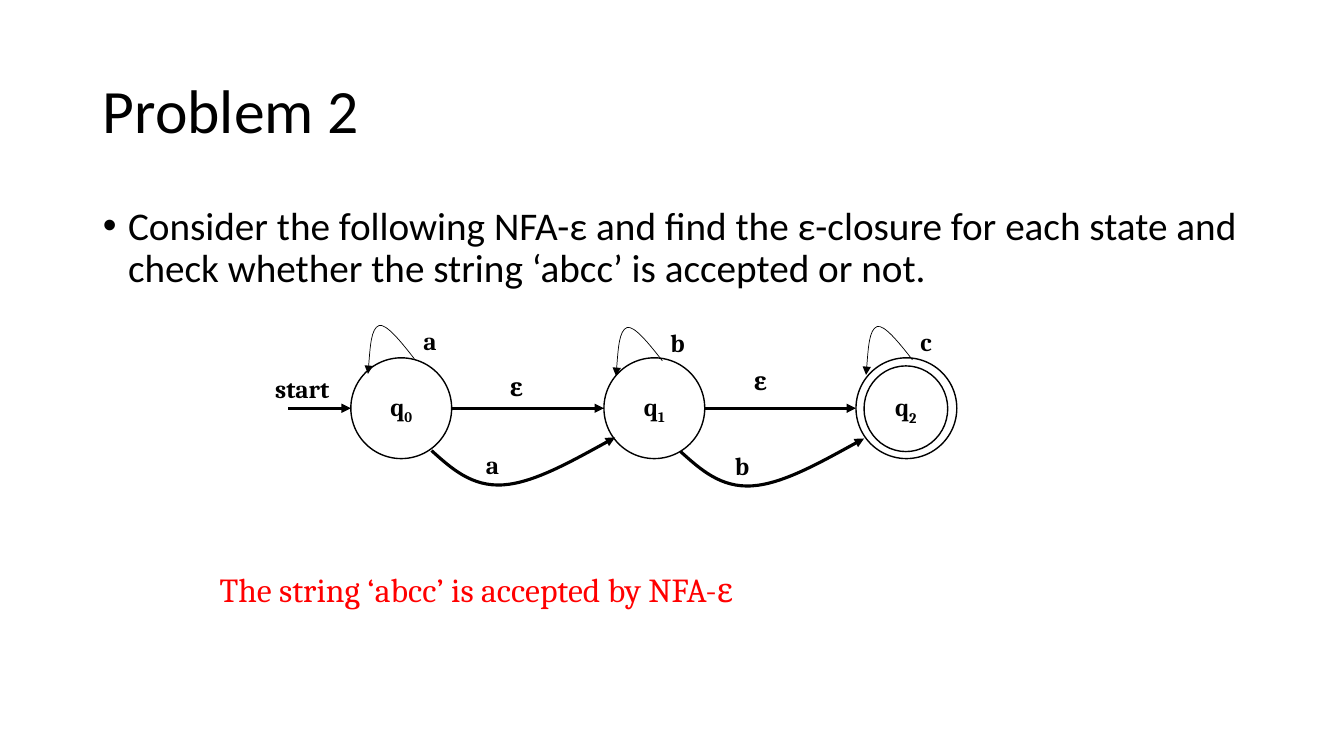
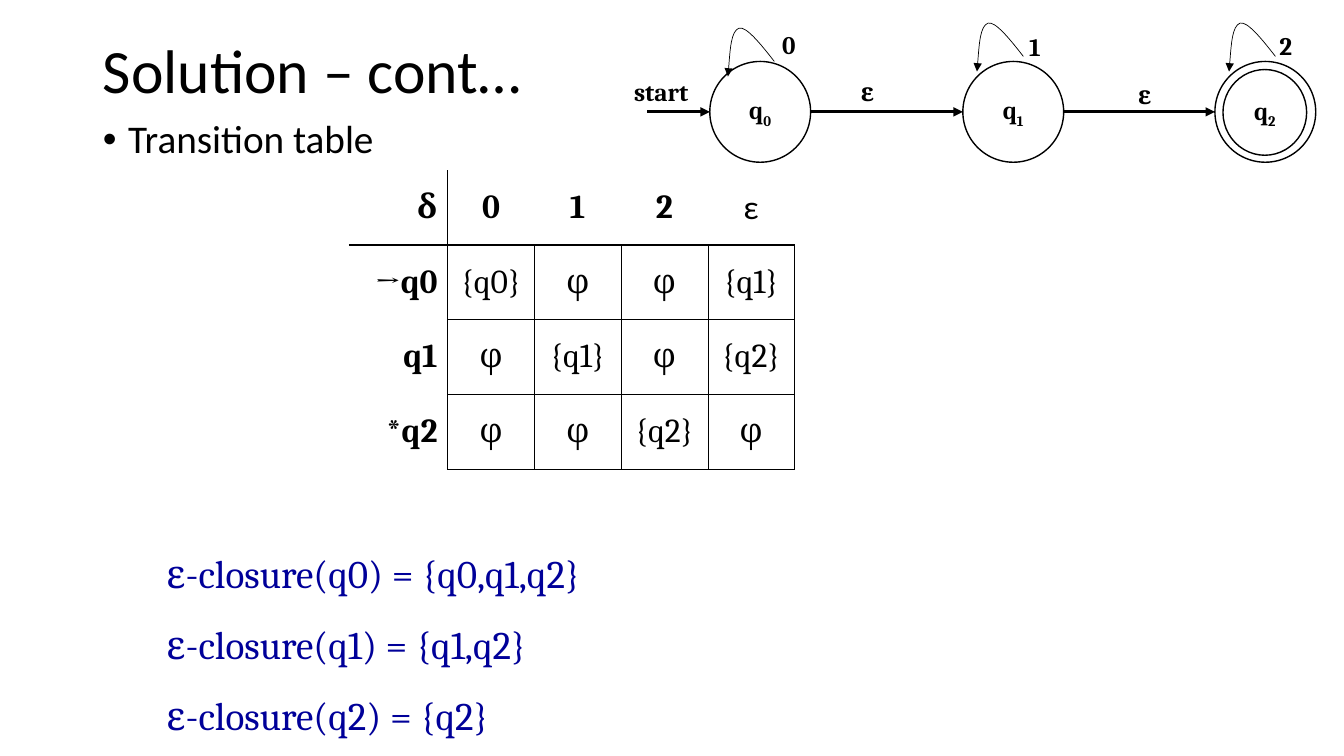
from lxml import etree
from pptx import Presentation
from pptx import util as u
from pptx.dml.color import RGBColor
from pptx.enum import shapes, text
from pptx.oxml.ns import qn

PX = 9144  # 100 px to the inch
BLACK, WHITE, RED, NAVY = "000000", "FFFFFF", "FF0000", "000099"
HEAD_FONT, TEXT_FONT = "Calibri", "Cambria"
LEFT, CENTER, RIGHT = text.PP_ALIGN.LEFT, text.PP_ALIGN.CENTER, text.PP_ALIGN.RIGHT

STATE_SIZE = 100
STATE_STEPS = (0, 251, 501)
LOOP = ((0, 0), (-14, -18), (-28, -35), (-35, -33), (-43, -30), (-44, -8), (-46, 15))
BOW = ((0, 0), (20, 18), (40, 36), (71, 34), (101, 32), (142, 9), (182, -13))


def px(*lengths):
    return [u.Emu(length * PX) for length in lengths]


def color(hex_code):
    return RGBColor.from_string(hex_code)


class Deck:
    """Holds the shared style and the slide being filled."""

    def __init__(self):
        self.prs = Presentation()
        self.prs.slide_width, self.prs.slide_height = px(1333, 750)
        self.slide = None

    def new_slide(self, title, title_top, bullet, body_box):
        self.slide = self.prs.slides.add_slide(self.prs.slide_layouts[1])
        heading, body = self.slide.placeholders
        self.fill_placeholder(heading, (92, title_top, 1150, 145), title, 44)
        heading.text_frame.vertical_anchor = text.MSO_ANCHOR.MIDDLE
        self.fill_placeholder(body, body_box, bullet, 28)
        item = body.text_frame.paragraphs[0]
        item.space_before = u.Pt(10)
        props = item._p.get_or_add_pPr()
        props.set("marL", str(25 * PX))
        props.set("indent", str(-25 * PX))

    def fill_placeholder(self, holder, box, words, size):
        holder.left, holder.top, holder.width, holder.height = px(*box)
        frame = holder.text_frame
        frame.text = words
        frame.auto_size = text.MSO_AUTO_SIZE.NONE
        self.format(frame, size, font=HEAD_FONT, spacing=0.9)

    def format(self, frame, size, ink=BLACK, font=TEXT_FONT, bold=False,
               align=LEFT, spacing=None):
        for paragraph in frame.paragraphs:
            paragraph.alignment = align
            if spacing:
                paragraph.line_spacing = spacing
            for run in paragraph.runs:
                run.font.name, run.font.size = font, u.Pt(size)
                run.font.bold = bold
                run.font.color.rgb = color(ink)

    def note(self, box, words, size=18, ink=BLACK, bold=False, spacing=None, wrap=True):
        frame = self.slide.shapes.add_textbox(*px(*box)).text_frame
        frame.text = words
        frame.word_wrap = wrap
        frame.auto_size = text.MSO_AUTO_SIZE.SHAPE_TO_FIT_TEXT
        self.format(frame, size, ink, bold=bold, spacing=spacing)

    def label(self, x, y, words, width=40):
        self.note((x, y, width, 40), words, bold=True)

    def circle(self, x, y, width=STATE_SIZE, height=STATE_SIZE, number=None):
        """Draws a state ring, with its subscripted name if numbered."""
        ring = self.slide.shapes.add_shape(shapes.MSO_SHAPE.OVAL, *px(x, y, width, height))
        ring.shadow.inherit = False
        ring.fill.solid()
        ring.fill.fore_color.rgb = color(WHITE)
        self.stroke(ring, 1)
        if number is None:
            return
        frame = ring.text_frame
        frame.text = "q"
        frame.vertical_anchor = text.MSO_ANCHOR.MIDDLE
        subscript = frame.paragraphs[0].add_run()
        subscript.text = str(number)
        self.format(frame, 18, bold=True, align=CENTER)
        subscript._r.get_or_add_rPr().set("baseline", "-25000")

    def stroke(self, shape, weight, arrow=False):
        shape.line.color.rgb = color(BLACK)
        shape.line.width = u.Pt(weight)
        if arrow:
            ln = shape._element.spPr.find(qn("a:ln"))
            etree.SubElement(ln, qn("a:tailEnd"), type="triangle")

    def arrow(self, x1, x2, y):
        line = self.slide.shapes.add_connector(
            shapes.MSO_CONNECTOR.STRAIGHT, *px(x1, y, x2, y))
        self.stroke(line, 2.25, arrow=True)
        etree.SubElement(line._element.spPr, qn("a:effectLst"))

    def curve(self, x, y, offsets, weight):
        """Draws an arrow of cubic curves; offsets are the start, then triples."""
        start, *rest = [(x + dx, y + dy) for dx, dy in offsets]
        builder = self.slide.shapes.build_freeform(*start, scale=float(PX))
        builder.add_line_segments(rest, close=False)
        arc = builder.convert_to_shape()
        arc.shadow.inherit = False
        arc.fill.background()
        self.stroke(arc, weight, arrow=True)
        outline = next(arc._element.iter(qn("a:path")))
        segments = outline.findall(qn("a:lnTo"))
        for first in range(0, len(segments), 3):
            bezier = etree.SubElement(outline, qn("a:cubicBezTo"))
            for segment in segments[first:first + 3]:
                bezier.append(segment[0])
                outline.remove(segment)

    def automaton(self, x, y, loops, epsilons):
        """Draws three states; loops hold symbol, curve start and label corner."""
        middle = y + STATE_SIZE // 2
        lefts = [x + step for step in STATE_STEPS]
        for number, left in enumerate(lefts[:-1]):
            self.circle(left, y, number=number)
        self.circle(lefts[-1], y)
        self.circle(lefts[-1] + 8, y + 8, 83, 85, number=2)
        self.arrow(x - 62, x, middle)
        for left, following in zip(lefts, lefts[1:]):
            self.arrow(left + STATE_SIZE, following, middle)
        self.label(x - 85, y + 10, "start", 92)
        for symbol, start, corner in loops:
            self.curve(*start, LOOP, 0.5)
            self.label(*corner, symbol)
        for corner in epsilons:
            self.label(*corner, "ε", 36)

    def transition_table(self, x, y, rows, widths, row_height):
        frame = self.slide.shapes.add_table(
            len(rows), len(widths), *px(x, y, sum(widths), row_height * len(rows)))
        table = frame.table
        table.first_row = table.horz_banding = False
        for column, width in zip(table.columns, px(*widths)):
            column.width = width
        for r, row in enumerate(rows):
            table.rows[r].height, = px(row_height)
            for c, words in enumerate(row):
                cell = table.cell(r, c)
                cell.text = words
                cell.vertical_anchor = text.MSO_ANCHOR.MIDDLE
                plain_head = words == "ε"
                self.format(cell.text_frame, 24,
                            font=HEAD_FONT if plain_head else TEXT_FONT,
                            bold=(r == 0 or c == 0) and not plain_head,
                            align=CENTER if c else RIGHT)
                self.borders(cell, L=rule_weight(c, r), R=rule_weight(c + 1, r),
                             T=rule_weight(r, c), B=rule_weight(r + 1, c))
                cell.fill.background()

    def borders(self, cell, **weights):
        props = cell._tc.get_or_add_tcPr()
        for side, weight in weights.items():
            ln = etree.SubElement(props, qn("a:ln" + side), w=str(u.Pt(weight)))
            if weight:
                fill = etree.SubElement(ln, qn("a:solidFill"))
                etree.SubElement(fill, qn("a:srgbClr"), val=BLACK)
            else:
                etree.SubElement(ln, qn("a:noFill"))


def rule_weight(boundary, lane):
    """Heavy beside the headings, hairline around the body, none elsewhere."""
    if boundary == 1:
        return 1
    return 0.25 if boundary > 1 and lane > 0 else 0


def problem(deck):
    deck.new_slide(
        "Problem 2", 40,
        "Consider the following NFA-ε and find the ε-closure for each state and "
        "check whether the string ‘abcc’ is accepted or not.",
        (92, 200, 1150, 476))
    deck.automaton(
        348, 355,
        loops=(("a", (411, 356), (410, 318)),
               ("b", (657, 358), (655, 320)),
               ("c", (905, 357), (903, 319))),
        epsilons=((496, 363), (738, 358)))
    for symbol, x, y in (("a", 428, 447), ("b", 675, 448)):
        deck.curve(x, y, BOW, 2.25)
        deck.label(x + 44, y - 6, symbol, 32)
    deck.note((208, 559, 593, 50), "The string ‘abcc’ is accepted by NFA-ε",
              24, RED, wrap=False)


def solution(deck):
    deck.new_slide("Solution – cont…", 0, "Transition table", (92, 114, 1150, 555))
    deck.transition_table(
        346, 169,
        (("δ", "0", "1", "2", "ε"),
         ("→q0", "{q0}", "φ", "φ", "{q1}"),
         ("q1", "φ", "{q1}", "φ", "{q2}"),
         ("*q2", "φ", "φ", "{q2}", "φ")),
        widths=(98, 86, 86, 86, 86), row_height=74)
    deck.note((155, 517, 667, 222),
              "ε-closure(q0) = {q0,q1,q2}\n"
              "ε-closure(q1) = {q1,q2}\n"
              "ε-closure(q2) = {q2}",
              28, NAVY, spacing=1.5)
    deck.automaton(
        704, 61,
        loops=(("0", (768, 61), (766, 24)),
               ("1", (1015, 56), (1011, 26)),
               ("2", (1265, 56), (1259, 25))),
        epsilons=((844, 71), (1119, 74)))


def main():
    deck = Deck()
    problem(deck)
    solution(deck)
    deck.prs.save("out.pptx")


if __name__ == "__main__":
    main()
